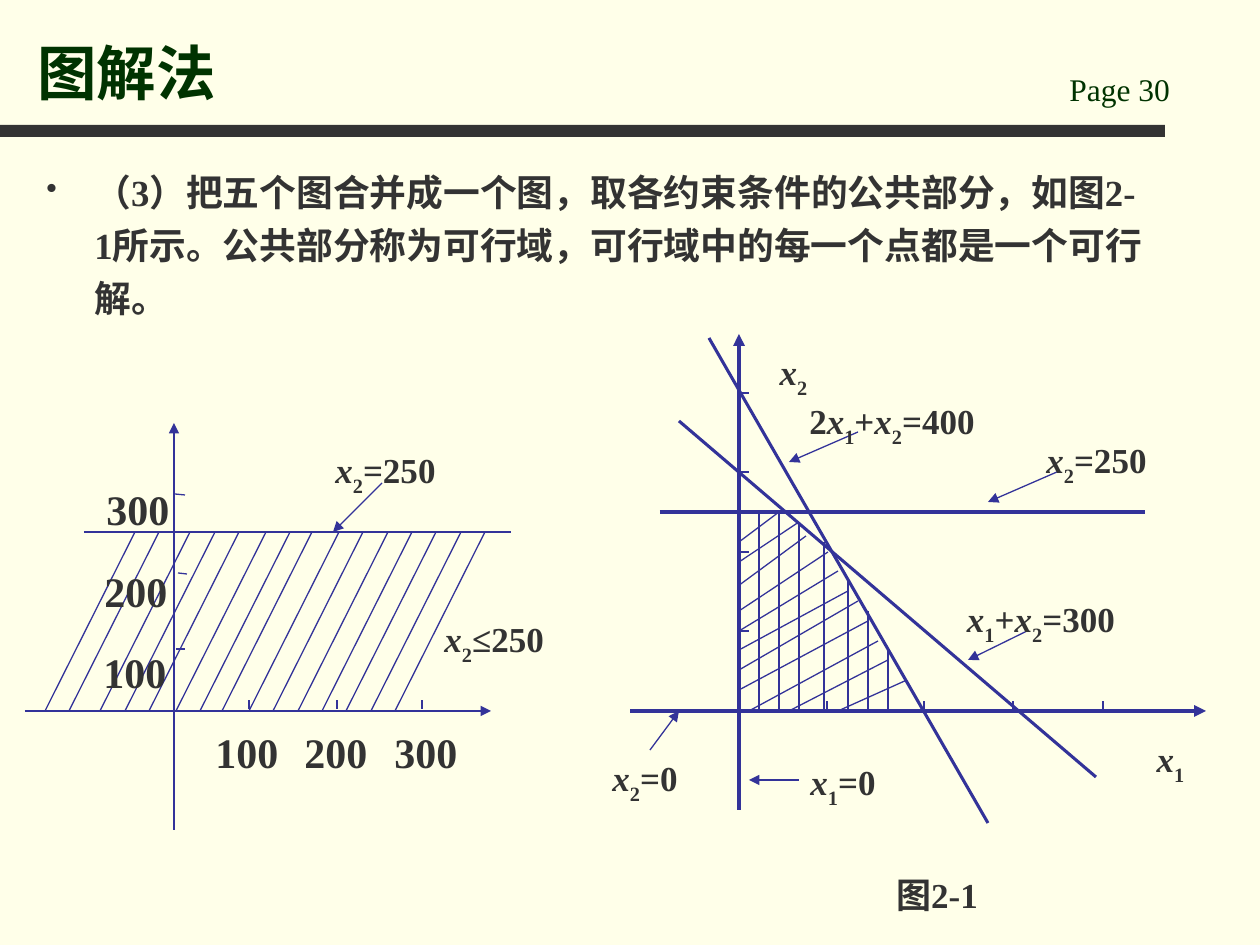
from dataclasses import dataclass

import pptx
import pptx.dml.color
import pptx.enum.shapes
import pptx.enum.text
import pptx.oxml.ns
import pptx.util
from lxml import etree

PIXEL = 914400 / 126
INK, GREEN, BLUE, CREAM = "333333", "003300", "333399", "FFFFE9"
THIN, MEDIUM, THICK = 0.75, 1.75, 2.25
ALIGN = pptx.enum.text.PP_ALIGN
ANCHOR = pptx.enum.text.MSO_ANCHOR

# Runs of the formulas: text and style
X1 = (("x", "italic"), ("1", "sub"))
X2 = (("x", "italic"), ("2", "sub"))
PLUS = (("+", ""),)


@dataclass
class Line:
    x1: int
    y1: int
    x2: int
    y2: int
    width: float = THIN
    arrow: bool = False


@dataclass
class Label:
    runs: tuple
    left: int
    top: int
    width: int
    height: int = 54
    size: int = 20
    align: ALIGN = ALIGN.CENTER
    color: str = INK
    bold: bool = True
    spacing: float = 1.2
    anchor: ANCHOR = ANCHOR.TOP
    grow: bool = True


def px(value: int) -> int:
    return round(value * PIXEL)


def rgb(color: str) -> pptx.dml.color.RGBColor:
    return pptx.dml.color.RGBColor.from_string(color)


def plain(text: str) -> tuple:
    return ((text, ""),)


def set_format(target, values: dict) -> None:
    for name, value in values.items():
        setattr(target, name, value)


def add_line(slide, line: Line) -> None:
    connector = slide.shapes.add_connector(
        pptx.enum.shapes.MSO_CONNECTOR.STRAIGHT,
        px(line.x1), px(line.y1), px(line.x2), px(line.y2))
    connector.line.width = pptx.util.Pt(line.width)
    connector.line.color.rgb = rgb(BLUE)
    if line.arrow:
        outline = connector.line._get_or_add_ln()
        etree.SubElement(outline, pptx.oxml.ns.qn("a:tailEnd"), type="triangle")
    properties = connector._element.spPr
    etree.SubElement(properties, pptx.oxml.ns.qn("a:effectLst"))


def add_label(slide, label: Label):
    box = slide.shapes.add_textbox(
        px(label.left), px(label.top), px(label.width), px(label.height))
    auto_size = pptx.enum.text.MSO_AUTO_SIZE
    set_format(box.text_frame, {
        "word_wrap": True,
        "vertical_anchor": label.anchor,
        "auto_size": auto_size.SHAPE_TO_FIT_TEXT if label.grow else auto_size.NONE,
    })
    paragraph = box.text_frame.paragraphs[0]
    set_format(paragraph, {"alignment": label.align, "line_spacing": label.spacing})
    for text, style in label.runs:
        run = paragraph.add_run()
        run.text = text
        set_format(run.font, {
            "name": "Times New Roman",
            "size": pptx.util.Pt(label.size),
            "bold": label.bold,
            "italic": style == "italic",
        })
        run.font.color.rgb = rgb(label.color)
        if style == "sub":
            run.font._element.set("baseline", "-30000")
    return paragraph


def add_bullet(paragraph, indent: int) -> None:
    properties = paragraph._p.get_or_add_pPr()
    properties.set("marL", str(px(indent)))
    properties.set("indent", str(-px(indent)))
    for tag, name, value in (("a:buSzPct", "val", "85000"), ("a:buChar", "char", "•")):
        etree.SubElement(properties, pptx.oxml.ns.qn(tag)).set(name, value)


def add_heading(slide) -> None:
    bar = slide.shapes.add_shape(
        pptx.enum.shapes.MSO_SHAPE.RECTANGLE, 0, px(125), px(1165), px(12))
    bar.shadow.inherit = False
    bar.fill.solid()
    bar.fill.fore_color.rgb = rgb(INK)
    bar.line.fill.background()
    add_label(slide, Label(plain("Page 30"), 1057, 64, 179, 50, 18, ALIGN.LEFT,
                           GREEN, bold=False, spacing=1.0))
    add_label(slide, Label(plain("图解法"), 25, 16, 1012, 98, 34, ALIGN.LEFT,
                           GREEN, spacing=1.0, anchor=ANCHOR.BOTTOM, grow=False))
    body = "（3）把五个图合并成一个图，取各约束条件的公共部分，如图2-1所示。公共部分称为可行域，可行域中的每一个点都是一个可行解。"
    paragraph = add_label(slide, Label(plain(body), 34, 155, 1121, 645, 21,
                                       ALIGN.LEFT, grow=False))
    add_bullet(paragraph, 48)


def add_half_plane(slide) -> None:
    base, limit = 711, 532
    # Axes, ticks, boundary and pointer
    lines = [
        Line(174, 830, 174, 423, arrow=True),
        Line(25, base, 491, base, arrow=True),
        Line(176, 649, 185, 649),
        Line(178, 573, 187, 574),
        Line(175, 494, 185, 495),
        Line(84, limit, 511, limit),
        Line(382, 483, 333, limit, arrow=True),
    ]
    lines += [Line(x, 709, x, 700) for x in (249, 337, 422)]
    # Slanted hatching
    hatch = (135, 159, 190, 215, 239, 266, 290, 312, 339, 363, 388, 412, 436, 461, 485)
    lines += [Line(x, limit, x - 90, base) for x in hatch]
    for line in lines:
        add_line(slide, line)

    scale = (("100", 91, 630, 93), ("200", 92, 549, 92), ("300", 94, 467, 100),
             ("100", 203, 710, 100), ("200", 292, 710, 90), ("300", 382, 710, 100))
    for text, left, top, width in scale:
        add_label(slide, Label(plain(text), left, top, width, 72, 24, ALIGN.LEFT))
    add_label(slide, Label(X2 + plain("≤250"), 432, 601, 169, align=ALIGN.LEFT))
    add_label(slide, Label(X2 + plain("=250"), 323, 432, 149, align=ALIGN.LEFT))


def add_feasible_region(slide) -> None:
    axis, base = 739, 711
    # Axes and constraint lines
    lines = [
        Line(axis, 810, axis, 334, THICK, True),
        Line(630, base, 1206, base, THICK, True),
        Line(679, 421, 1096, 777, MEDIUM),
        Line(709, 338, 988, 823, MEDIUM),
        Line(660, 512, 1145, 512, MEDIUM),
    ]
    # Ticks
    lines += [Line(axis, y, axis + 10, y) for y in (393, 472, 552, 631)]
    lines += [Line(x, base, x, base - 10) for x in (827, 924, 1013, 1103)]
    # Vertical hatching
    tops = ((759, 512), (779, 512), (799, 522), (824, 542), (848, 581),
            (868, 611), (888, 650))
    lines += [Line(x, base, x, top) for x, top in tops]
    # Slanted hatching
    slants = ((739, 542, 779, 512), (739, 562, 799, 522), (738, 586, 806, 536),
              (739, 611, 828, 552), (739, 631, 838, 571), (739, 650, 848, 591),
              (739, 670, 858, 601), (739, 690, 868, 621), (749, 711, 878, 641),
              (789, 711, 888, 660), (838, 711, 907, 680))
    lines += [Line(*ends) for ends in slants]
    # Pointers
    pointers = ((858, 432, 789, 462), (1027, 631, 968, 660), (1057, 472, 988, 502),
                (650, 750, 679, 711), (799, 780, 749, 780))
    lines += [Line(*ends, arrow=True) for ends in pointers]
    for line in lines:
        add_line(slide, line)

    labels = (
        Label(X1, 1136, 721, 69),
        Label(X2, 759, 334, 69),
        Label(X2 + plain("=0"), 590, 740, 110),
        Label(X1 + plain("=0"), 788, 744, 110),
        Label(X2 + plain("=250"), 1027, 422, 139),
        Label(X1 + PLUS + X2 + plain("=300"), 947, 581, 188),
        Label(plain("2") + X1 + PLUS + X2 + plain("=400"), 788, 383, 208),
        Label(plain("图2-1"), 838, 859, 198),
    )
    for label in labels:
        add_label(slide, label)


def main() -> None:
    presentation = pptx.Presentation()
    presentation.slide_width, presentation.slide_height = px(1260), px(945)
    slide = presentation.slides.add_slide(presentation.slide_layouts[6])
    slide.background.fill.solid()
    slide.background.fill.fore_color.rgb = rgb(CREAM)
    add_heading(slide)
    add_half_plane(slide)
    add_feasible_region(slide)
    presentation.save("out.pptx")


if __name__ == "__main__":
    main()
